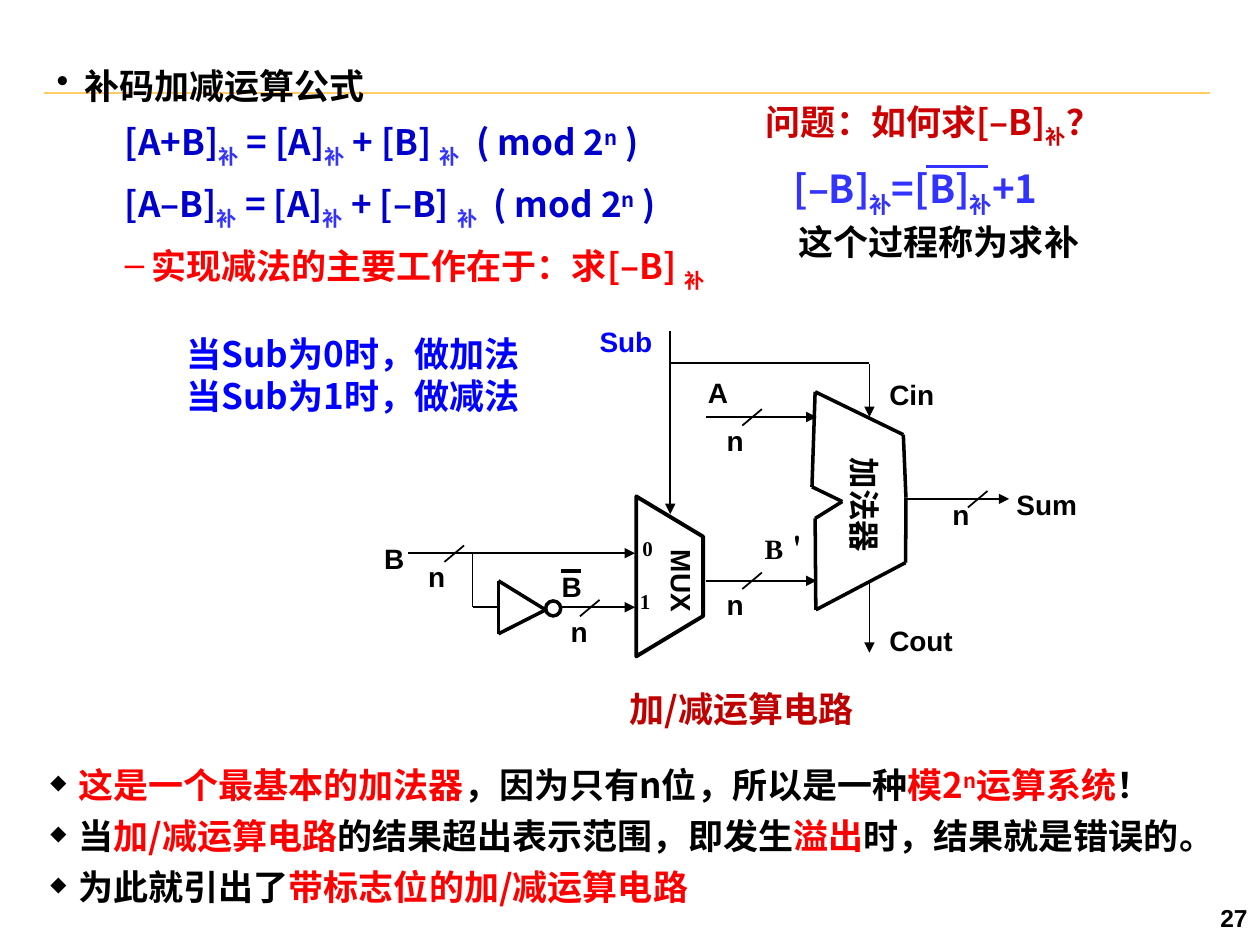
from dataclasses import dataclass
from itertools import pairwise

from pptx import Presentation
from pptx.dml.color import RGBColor
from pptx.enum.shapes import MSO_CONNECTOR as Connector, MSO_SHAPE as Shape
from pptx.enum.text import MSO_ANCHOR as Anchor, MSO_AUTO_SIZE as AutoSize, PP_ALIGN as Align
from pptx.oxml import parse_xml
from pptx.oxml.ns import nsdecls, qn
from pptx.util import Pt

BLACK, BLUE, RED = "000000", "0000FF", "FF0000"
NAVY, INDIGO, CRIMSON = "0000CC", "3333FF", "CC0000"
ARIAL, SANS, SERIF = "Arial", "Noto Sans CJK SC", "Times New Roman"
SUB, SUPER = -25, 30
THICK = 2


def color(hex_value):
    return RGBColor.from_string(hex_value)


def element(tag, content="", **attributes):
    """Make a DrawingML element with the given attributes and inner XML."""
    values = " ".join(f'{key}="{value}"' for key, value in attributes.items())
    return parse_xml(f"<a:{tag} {nsdecls('a')} {values}>{content}</a:{tag}>")


def apply(target, values):
    for key, value in values.items():
        setattr(target, key, value)


@dataclass
class Para:
    """Runs are (text, colour[, baseline percent]) tuples."""
    runs: list
    line_spacing: float = None
    before: int = 0
    left: float = 0
    hang: float = 0
    level: int = 0
    bullet: str = ""
    bullet_scale: int = 0


class SlideBuilder:
    tight = dict(margin_left=Pt(5), margin_right=Pt(5), margin_top=Pt(2.2), margin_bottom=Pt(2.2))

    def __init__(self, deck):
        self.slide = deck.slides.add_slide(deck.slide_layouts[6])
        self.shapes = self.slide.shapes

    def text(self, box, paragraphs, size=16, font=ARIAL, rotation=0, align=Align.LEFT, **frame_format):
        shape = self.shapes.add_textbox(*map(Pt, box))
        shape.rotation = rotation
        frame = shape.text_frame
        apply(frame, dict(word_wrap=True, auto_size=AutoSize.SHAPE_TO_FIT_TEXT) | frame_format)
        for index, para in enumerate(paragraphs):
            paragraph = frame.add_paragraph() if index else frame.paragraphs[0]
            apply(paragraph, dict(alignment=align, level=para.level, line_spacing=para.line_spacing))
            self.paragraph_format(paragraph, para, index)
            for words, hue, *baseline in para.runs:
                self.run(paragraph, words, hue, size, font, *baseline)

    def paragraph_format(self, paragraph, para, index):
        props = paragraph._p.get_or_add_pPr()
        if para.before and index:
            props.append(element("spcBef", f'<a:spcPct val="{para.before * 1000}"/>'))
        if para.hang:
            props.set("marL", str(Pt(para.left)))
            props.set("indent", str(-Pt(para.hang)))
        if para.bullet_scale:
            props.append(element("buClr", f'<a:srgbClr val="{BLACK}"/>'))
            props.append(element("buSzPct", val=para.bullet_scale * 1000))
        if para.bullet:
            props.append(element("buChar", char=para.bullet))

    def run(self, paragraph, words, hue, size, font, baseline=0):
        run = paragraph.add_run()
        run.text = words
        apply(run.font, dict(size=Pt(size), bold=True, name=font))
        run.font.color.rgb = color(hue)
        props = run._r.get_or_add_rPr()
        props.append(element("ea", typeface=font))
        if baseline:
            props.set("baseline", str(baseline * 1000))

    def label(self, box, words, hue=BLACK, line_spacing=None, **style):
        self.text(box, [Para([(words, hue)], line_spacing)], **style)

    def line(self, start, end, hue=BLACK, width=1, arrow=False):
        wire = self.shapes.add_connector(Connector.STRAIGHT, *map(Pt, (*start, *end)))
        wire.line.color.rgb = color(hue)
        wire.line.width = Pt(width)
        if arrow:
            wire.line._get_or_add_ln().append(element("tailEnd", type="triangle"))
        wire._element.find(qn("p:spPr")).append(element("effectLst"))

    def loop(self, points):
        """Draw a closed run of thick lines."""
        for start, end in pairwise([*points, points[0]]):
            self.line(start, end, width=THICK)

    def bus_mark(self, x, y, label_left, line_spacing=None):
        """Slash a wire and write the bus width n below it."""
        self.line((x + 5.6, y - 4.7), (x - 5.6, y + 4.7))
        self.label((label_left, y, 24.5, 26.5), "n", line_spacing=line_spacing, word_wrap=False)

    def outline(self, shape, width):
        shape.shadow.inherit = False
        shape.fill.background()
        shape.line.color.rgb = color(BLACK)
        shape.line.width = Pt(width)

    def circle(self, left, top, size):
        self.outline(self.shapes.add_shape(Shape.OVAL, *map(Pt, (left, top, size, size))), THICK)

    def polygon(self, points, width):
        first, *rest = [tuple(map(Pt, point)) for point in points]
        builder = self.shapes.build_freeform(*first)
        builder.add_line_segments(rest, close=True)
        self.outline(builder.convert_to_shape(), width)


def formula(result, addend):
    return Para([(result, NAVY), ("补", INDIGO, SUB), (" = [A]", NAVY), ("补", INDIGO, SUB),
                 (f" {addend} ", NAVY), ("补", INDIGO, SUB),
                 ("  ( mod 2", NAVY), ("n", NAVY, SUPER), (" )", NAVY)],
                line_spacing=1.15, before=20, left=54, hang=15, level=1)


def conclusion(*runs):
    return Para(list(runs), before=25, left=16, hang=16, bullet="◆", bullet_scale=60)


def add_formulas(page):
    page.line((25.2, 53.3), (691.2, 53.3), "FFCC66")
    page.label((558, 509.8, 162, 28.8), "27", size=14, align=Align.RIGHT,
               vertical_anchor=Anchor.MIDDLE, auto_size=AutoSize.NONE)
    page.text((99.4, 186.5, 224.6, 55.4),
              [Para([(f"当Sub为{value}时，做{task}", BLUE)]) for value, task in ((0, "加法"), (1, "减法"))],
              size=20, font=SANS, vertical_anchor=Anchor.MIDDLE)
    page.text((27.4, 31, 465.8, 128.9), [
        Para([("补码加减运算公式", BLACK)], line_spacing=1.15, left=16, hang=16, bullet="•"),
        formula("[A+B]", "+ [B]"),
        formula("[A–B]", "+ [–B]"),
        Para([("实现减法的主要工作在于：求[–B] ", RED), ("补", RED, SUB)],
             line_spacing=1.15, before=20, left=54, hang=15, level=1, bullet="–"),
    ], size=20, font=SANS, **page.tight)
    page.text((430.6, 54, 226, 31), [Para([("问题：如何求[–B]", CRIMSON), ("补", CRIMSON, SUB), ("？", CRIMSON)])],
              size=20, font=SANS)
    page.text((446.4, 90.7, 187.2, 33.8), [Para([("[–B]", INDIGO), ("补", INDIGO, SUB), ("=[B]", INDIGO),
                                                ("补", INDIGO, SUB), ("+1", INDIGO)])], size=22, font=SANS)
    page.line((529.2, 95), (564.5, 95), INDIGO, 1.5)
    page.label((449.3, 122.4, 179.3, 31.7), "这个过程称为求补", size=20, font=SANS)


def add_circuit(page):
    adder = [(465.8, 223.9), (516.2, 248.4), (517.7, 284.4), (517.5, 321.5), (466.2, 348.5),
             (465.8, 296.3), (481.3, 286.6), (464, 278.2)]
    inverter = [(311.8, 348.5), (284.8, 331.9), (284.8, 362.2)]
    page.loop(adder)
    page.loop(inverter)
    page.circle(311.8, 343.4, 8.6)
    page.polygon([(363.6, 375.1), (401.8, 352.1), (401.8, 306.7), (363.6, 283.7)], 2.25)

    signals = [((403.2, 238.3), (466.6, 238.3)), ((403.2, 331.9), (466.6, 331.9)),
               ((517.7, 285.1), (576.7, 285.1)), ((496.8, 208), (496.8, 238.3)),
               ((496.8, 332.6), (496.8, 373)), ((233.3, 316.1), (362.9, 316.1)),
               ((321.1, 347), (362.9, 347)), ((383, 189.4), (383, 293.8))]
    for start, end in signals:
        page.line(start, end, arrow=True)
    branches = [((496.8, 207.4), (383, 207.4)), ((270, 316.8), (270, 347)), ((270, 347), (285.1, 347))]
    for start, end in branches:
        page.line(start, end)

    for mark in ((429.8, 238.5, 408.2), (429.8, 331.9, 408.2), (558.7, 285.3, 537.1, 0.75),
                 (259.6, 316.4, 237.6), (337, 347.5, 319)):
        page.bus_mark(*mark)

    pins = [("Sum", 573.8, 275, 52), ("A", 397.4, 211, 26), ("Cin", 501.1, 212.4, 43),
            ("Cout", 501.1, 352.8, 56), ("B", 212.4, 306, 26), ("B", 313.9, 321.8, 26)]
    for name, left, top, width in pins:
        page.label((left, top, width, 26), name)
    page.label((335.5, 182.2, 48, 26.6), "Sub", BLUE)
    page.line((320.4, 326.2), (331.9, 326.2), width=2.25)
    for choice, left, top in (("0", 360, 302.4), ("1", 358.6, 332.6)):
        page.label((left, top, 20.2, 21.6), choice, size=12, font=SERIF, word_wrap=False)
    page.label((429.8, 300.2, 49, 26.6), "B＇", font=SERIF)
    page.label((455.8, 278.6, 77, 28.8), "加法器", size=18, rotation=90)
    page.label((360, 323.3, 59, 26.6), "MUX", rotation=90)
    page.label((352.8, 389.5, 187.9, 31), "加/减运算电路", "C00000", size=20, font=SANS)


def add_conclusions(page):
    page.text((23.8, 434.2, 692.6, 88.6), [
        conclusion(("这是一个最基本的加法器", RED), ("，因为只有n位，所以是一种", BLACK),
                   ("模2", RED), ("n", RED, SUPER), ("运算系统", RED), ("！", BLACK)),
        conclusion(("当", BLACK), ("加/减运算电路", RED), ("的结果超出表示范围，即发生", BLACK),
                   ("溢出", RED), ("时，结果就是错误的。", BLACK)),
        conclusion(("为此就引出了", BLACK), ("带标志位的加/减运算电路", RED)),
    ], size=20, font=SANS, **page.tight)


def main():
    deck = Presentation()
    deck.slide_width, deck.slide_height = Pt(720), Pt(540)
    page = SlideBuilder(deck)
    add_formulas(page)
    add_circuit(page)
    add_conclusions(page)
    deck.save("out.pptx")


if __name__ == "__main__":
    main()
